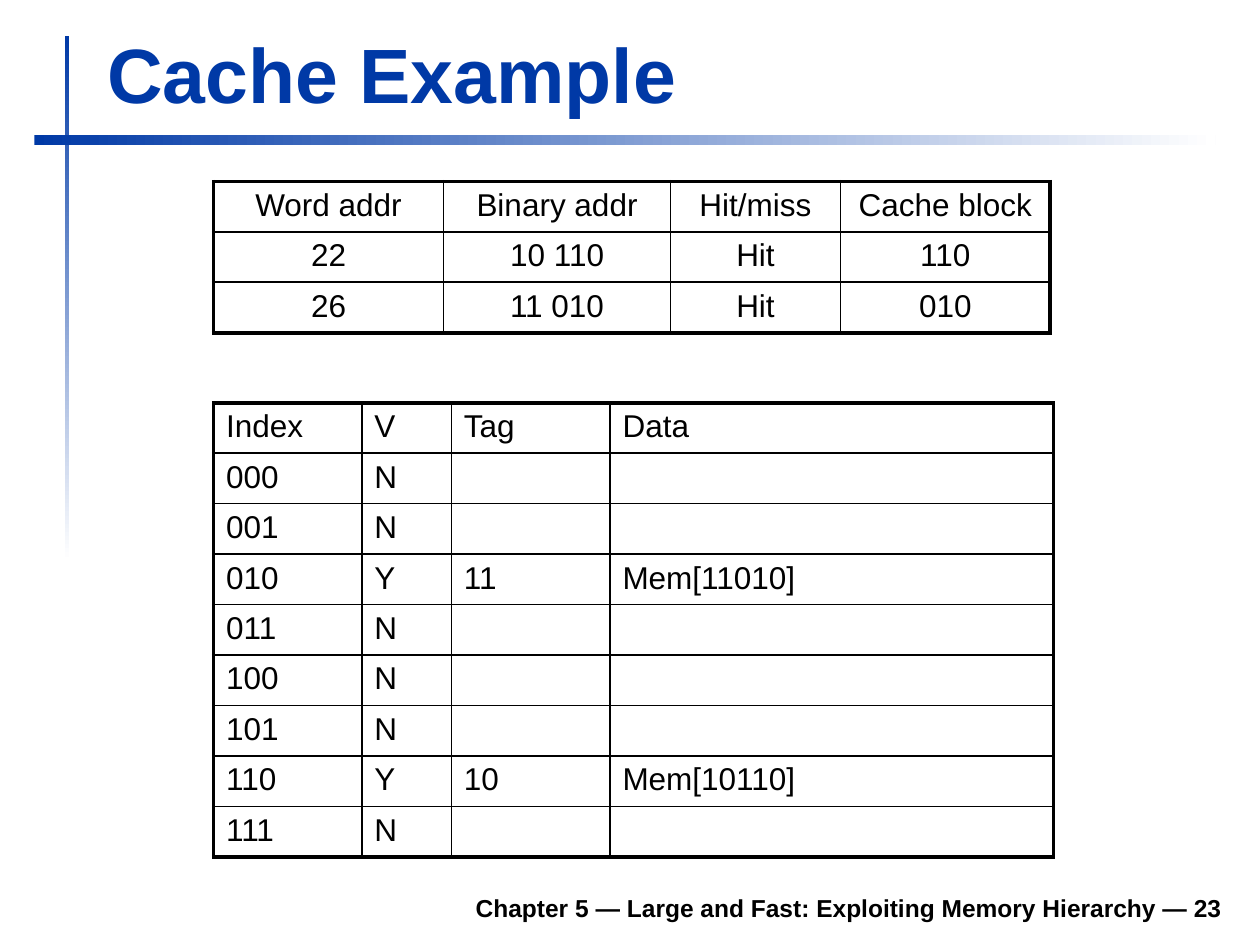
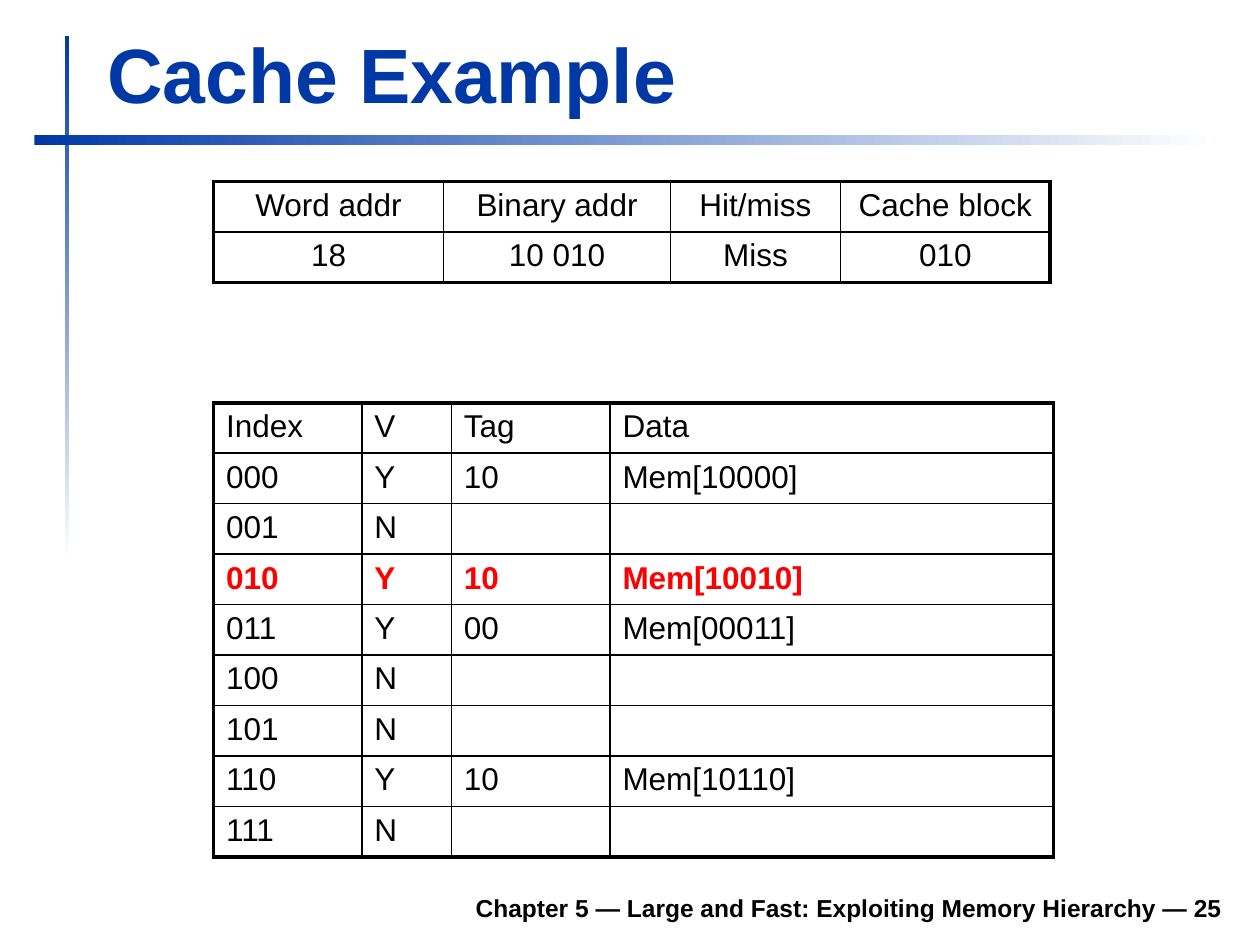
from lxml import etree
from pptx import Presentation
from pptx.dml.color import RGBColor
from pptx.enum.shapes import MSO_SHAPE
from pptx.enum.text import MSO_ANCHOR, MSO_AUTO_SIZE, PP_ALIGN
from pptx.oxml.ns import qn
from pptx.util import Pt

BLUE = RGBColor(0x00, 0x39, 0xA6)
WHITE = RGBColor(0xFF, 0xFF, 0xFF)
BLACK = RGBColor(0x00, 0x00, 0x00)
RED = RGBColor(0xFF, 0x00, 0x00)
FONT = "Arial"

RECTANGLE = MSO_SHAPE.RECTANGLE
BOTTOM = MSO_ANCHOR.BOTTOM
LEFT, CENTER, RIGHT = PP_ALIGN.LEFT, PP_ALIGN.CENTER, PP_ALIGN.RIGHT
GROW = MSO_AUTO_SIZE.SHAPE_TO_FIT_TEXT

TITLE_ONLY = 5
TITLE = "Cache Example"
CHAPTER = "Chapter 5 — Large and Fast: Exploiting Memory Hierarchy"

# Boxes are (left, top, width, height) in points.
TITLE_BOX = (54, 11.5, 650, 59.8)
FOOTER_BOX = (133.2, 502.5, 572.4, 28)
BANDS = [((37, 20.4, 2.5, 300), 270), ((19.6, 77.2, 675, 5.6), 0)]  # box, angle

ROW_HEIGHT = 28.8
THIN, MEDIUM, THICK = 1, 1.5, 2.25
ACCESS_ORIGIN = (122, 103.7)
ACCESS_COLUMNS = (131.5, 129.6, 97.2, 119.8)
ACCESS_HEADER = ("Word addr", "Binary addr", "Hit/miss", "Cache block")
CACHE_ORIGIN = (122, 230.2)
CACHE_COLUMNS = (84.8, 51.1, 90.7, 253.6)
CACHE_HEADER = ("Index", "V", "Tag", "Data")
CACHE_SIZE = 8

# Each cache maps a valid block's index to its tag.
SLIDES = [
    {"number": 23,
     "accesses": [("22", "10 110", "Hit", "110"), ("26", "11 010", "Hit", "010")],
     "cache": {"010": "11", "110": "10"},
     "replaced": None},
    {"number": 25,
     "accesses": [("18", "10 010", "Miss", "010")],
     "cache": {"000": "10", "010": "10", "011": "00", "110": "10"},
     "replaced": "010"},
]


def write(paragraph, text, size, color=BLACK, bold=False, align=LEFT):
    paragraph.alignment = align
    run = paragraph.add_run()
    run.text = text
    run.font.name = FONT
    run.font.size = Pt(size)
    run.font.bold = bold
    run.font.color.rgb = color


def add_band(slide, box, angle):
    band = slide.shapes.add_shape(RECTANGLE, *map(Pt, box))
    band.shadow.inherit = False
    band.line.fill.background()
    band.fill.gradient()
    band.fill.gradient_angle = angle
    for stop, color in zip(band.fill.gradient_stops, (BLUE, WHITE)):
        stop.color.rgb = color


def set_title(slide, box):
    title = slide.shapes.title
    title.left, title.top, title.width, title.height = map(Pt, box)
    frame = title.text_frame
    frame.vertical_anchor = BOTTOM
    frame.auto_size = GROW
    write(frame.paragraphs[0], TITLE, 44, BLUE, bold=True)


def add_footer(slide, box, number):
    frame = slide.shapes.add_textbox(*map(Pt, box)).text_frame
    frame.word_wrap = True
    frame.vertical_anchor = BOTTOM
    write(frame.paragraphs[0], f"{CHAPTER} — {number}", 14, bold=True, align=RIGHT)


def set_borders(cell, widths):
    """Draw the left, right, top and bottom borders in the given widths."""
    properties = cell._tc.get_or_add_tcPr()
    for side, width in zip("LRTB", widths):
        line = etree.SubElement(properties, qn(f"a:ln{side}"), w=str(Pt(width)))
        fill = etree.SubElement(line, qn("a:solidFill"))
        etree.SubElement(fill, qn("a:srgbClr"), val=str(BLACK))


def add_ruled_table(slide, origin, columns, rows, align, row_rule, marked=None):
    """Add a thick-framed table; the row whose first cell is `marked` is red."""
    size = (sum(columns), ROW_HEIGHT * len(rows))
    frame = slide.shapes.add_table(len(rows), len(columns), *map(Pt, origin + size))
    table = frame.table
    table.first_row = table.horz_banding = False
    for column, width in zip(table.columns, columns):
        column.width = Pt(width)
    row_rules = [THICK, MEDIUM] + [row_rule] * (len(rows) - 2) + [THICK]
    column_rules = [THICK] + [THIN] * (len(columns) - 1) + [THICK]
    for r, values in enumerate(rows):
        table.rows[r].height = Pt(ROW_HEIGHT)
        is_marked = values[0] == marked
        for c, value in enumerate(values):
            cell = table.cell(r, c)
            set_borders(cell, column_rules[c:c + 2] + row_rules[r:r + 2])
            cell.fill.background()
            if value:
                write(cell.text_frame.paragraphs[0], value, 18,
                      RED if is_marked else BLACK, is_marked, align)


def cache_rows(cache):
    rows = [CACHE_HEADER]
    for block in range(CACHE_SIZE):
        index = f"{block:03b}"
        tag = cache.get(index)
        rows.append((index, "Y", tag, f"Mem[{tag}{index}]") if tag
                    else (index, "N", "", ""))
    return rows


def add_cache_slide(presentation, number, accesses, cache, replaced):
    slide = presentation.slides.add_slide(presentation.slide_layouts[TITLE_ONLY])
    for box, angle in BANDS:
        add_band(slide, box, angle)
    add_footer(slide, FOOTER_BOX, number)
    set_title(slide, TITLE_BOX)
    add_ruled_table(slide, CACHE_ORIGIN, CACHE_COLUMNS, cache_rows(cache),
                    LEFT, THIN, replaced)
    add_ruled_table(slide, ACCESS_ORIGIN, ACCESS_COLUMNS,
                    [ACCESS_HEADER] + accesses, CENTER, MEDIUM)


def main():
    presentation = Presentation()
    presentation.slide_width, presentation.slide_height = Pt(720), Pt(540)
    for content in SLIDES:
        add_cache_slide(presentation, **content)
    presentation.save("out.pptx")


if __name__ == "__main__":
    main()
